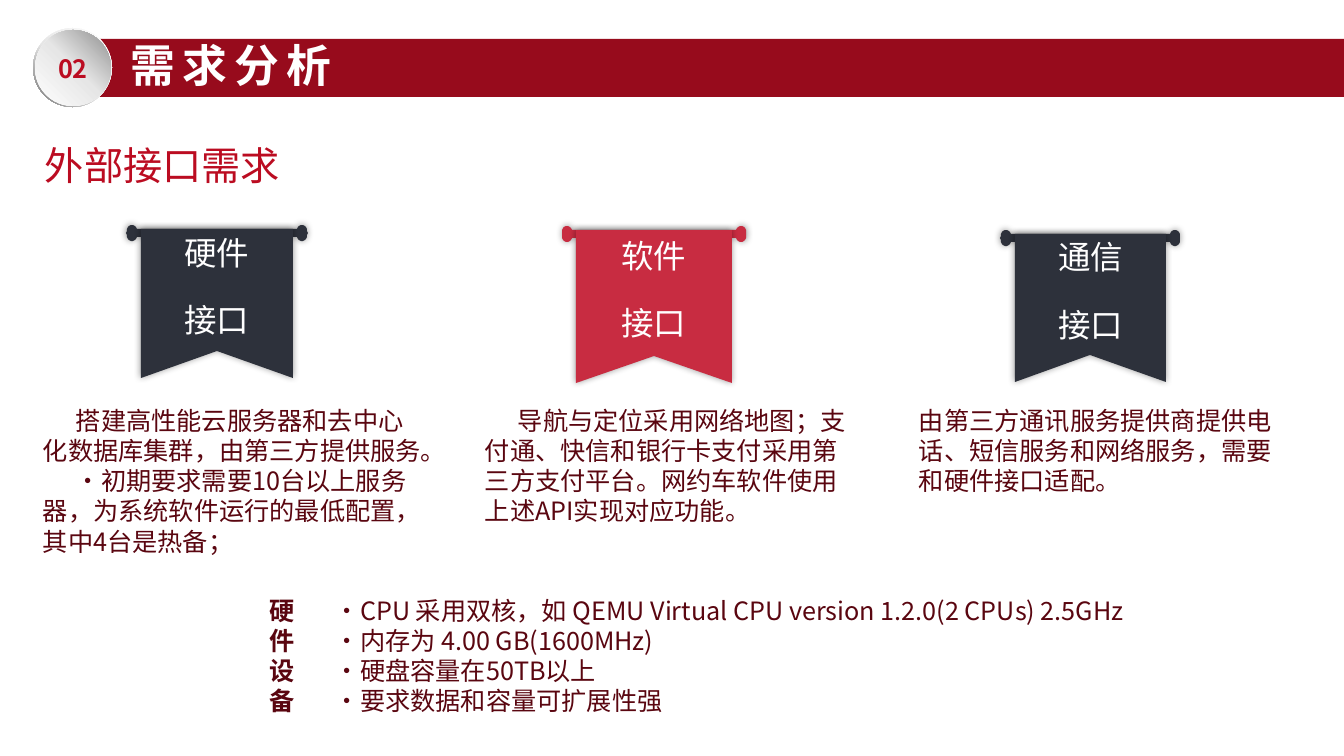
import math
from dataclasses import dataclass

import lxml.etree
import pptx
import pptx.dml.color
import pptx.enum.shapes
import pptx.enum.text
import pptx.oxml
import pptx.oxml.ns
import pptx.util

EMU_PER_PX = 914400 / 100.8
SHAPES = pptx.enum.shapes.MSO_SHAPE
ALIGN = pptx.enum.text.PP_ALIGN
ANCHOR = pptx.enum.text.MSO_ANCHOR


@dataclass(frozen=True)
class Theme:
    font: str = "Noto Sans CJK SC"
    white: str = "FFFFFF"
    banner: str = "970B1C"
    accent: str = "BB0C21"
    body: str = "5A0610"
    navy: str = "2D313B"
    red: str = "C82C41"
    title_size: int = 32
    subtitle_size: int = 28
    flag_size: int = 40
    body_size: int = 18
    line_ratio: float = 1.2


THEME = Theme()


def px(length):
    return pptx.util.Emu(round(length * EMU_PER_PX))


def rgb(value):
    return pptx.dml.color.RGBColor.from_string(value)


def fill_plain(shape, color):
    shape.shadow.inherit = False
    shape.fill.solid()
    shape.fill.fore_color.rgb = rgb(color)
    shape.line.fill.background()


def fill_gradient(shape, stops, angle):
    shape.shadow.inherit = False
    shape.line.fill.background()
    shape.fill.gradient()
    gradient = shape._element.spPr.find(pptx.oxml.ns.qn("a:gradFill"))
    stop_xml = "".join(
        f'<a:gs pos="{position * 1000}"><a:srgbClr val="{color}"/></a:gs>'
        for position, color in stops
    )
    replacement = pptx.oxml.parse_xml(
        f'<a:gradFill {pptx.oxml.ns.nsdecls("a")} rotWithShape="1">'
        f'<a:gsLst>{stop_xml}</a:gsLst><a:lin ang="{angle * 60000}" scaled="0"/></a:gradFill>'
    )
    gradient.getparent().replace(gradient, replacement)


def add_glow(shape):
    effects = shape._element.spPr.find(pptx.oxml.ns.qn("a:effectLst"))
    shadow = lxml.etree.SubElement(
        effects, pptx.oxml.ns.qn("a:outerShdw"),
        blurRad=str(pptx.util.Pt(5)), dist="0", dir="0", algn="ctr", rotWithShape="0",
    )
    color = lxml.etree.SubElement(shadow, pptx.oxml.ns.qn("a:srgbClr"), val="000000")
    lxml.etree.SubElement(color, pptx.oxml.ns.qn("a:alpha"), val="40000")


def write_text(shape, lines, size, color, bold=False, align=ALIGN.LEFT,
               indent=0, spacing=0, baseline=0):
    frame = shape.text_frame
    frame.word_wrap = True
    for index, line in enumerate(lines):
        paragraph = frame.paragraphs[0] if index == 0 else frame.add_paragraph()
        paragraph.alignment = align
        paragraph.line_spacing = pptx.util.Pt(size * THEME.line_ratio)
        if indent:
            properties = paragraph._p.get_or_add_pPr()
            properties.set("marL", "0")
            properties.set("indent", str(px(indent)))
        run = paragraph.add_run()
        run.text = line
        run.font.size = pptx.util.Pt(size)
        run.font.bold = bold
        run.font.name = THEME.font
        run.font.color.rgb = rgb(color)
        properties = run._r.get_or_add_rPr()
        lxml.etree.SubElement(properties, pptx.oxml.ns.qn("a:ea"), typeface=THEME.font)
        if spacing:
            properties.set("spc", str(spacing * 100))
        if baseline:
            properties.set("baseline", str(baseline * 1000))


def add_text(slide, left, top, width, height, lines, size, color, **options):
    box = slide.shapes.add_textbox(px(left), px(top), px(width), px(height))
    write_text(box, lines, size, color, **options)


def add_body(slide, left, top, width, height, lines, **options):
    add_text(slide, left, top, width, height, lines, THEME.body_size, THEME.body, **options)


def add_shape(slide, kind, left, top, width, height):
    return slide.shapes.add_shape(kind, px(left), px(top), px(width), px(height))


def add_outline(slide, points, color):
    builder = slide.shapes.build_freeform(*points[0], scale=EMU_PER_PX)
    builder.add_line_segments(points[1:], close=True)
    shape = builder.convert_to_shape()
    fill_plain(shape, color)
    add_glow(shape)
    return shape


def knob_points(center_x, center_y, start_degrees):
    return [
        (center_x + 5.5 * math.cos(math.radians(angle)),
         center_y + 8 * math.sin(math.radians(angle)))
        for angle in range(start_degrees, start_degrees + 301, 15)
    ]


def add_flag(slide, left, top, width, height, color, lines):
    right, bottom = left + width, top + height
    pole_y = top + 4
    pole = knob_points(left - 9, pole_y, 30) + knob_points(right + 9, pole_y, 210)
    add_outline(slide, pole, color)
    cloth = [(left + width / 2, bottom - 27), (right, bottom), (right, top),
             (left, top), (left, bottom)]
    flag = add_outline(slide, cloth, color)
    frame = flag.text_frame
    frame.vertical_anchor = ANCHOR.MIDDLE
    frame.margin_top = 0
    frame.margin_bottom = px(20)
    write_text(flag, lines, THEME.flag_size, THEME.white, align=ALIGN.CENTER, baseline=30)


def add_header(slide):
    banner = add_shape(slide, SHAPES.RECTANGLE, 80, 39, 1264, 58)
    fill_plain(banner, THEME.banner)
    add_text(slide, 121, 33, 455, 65, ["需求分析"], THEME.title_size, THEME.white,
             bold=True, spacing=5)
    ring = add_shape(slide, SHAPES.DONUT, 33, 28, 79, 79)
    ring.adjustments[0] = 0.05
    fill_gradient(ring, [(0, "FFFFFF"), (55, "E6E6E6"), (100, "6C6C6C")], 135)
    badge = add_shape(slide, SHAPES.OVAL, 35, 30, 76, 76)
    fill_gradient(badge, [(0, "FFFFFF"), (51, "E6E6E6"), (100, "8F8F8F")], 315)
    badge.text_frame.vertical_anchor = ANCHOR.MIDDLE
    write_text(badge, ["02"], THEME.body_size, THEME.accent, bold=True, align=ALIGN.CENTER)


def main():
    presentation = pptx.Presentation()
    presentation.slide_width = px(1344)
    presentation.slide_height = px(756)
    slide = presentation.slides.add_slide(presentation.slide_layouts[6])

    add_header(slide)
    add_flag(slide, 141, 229, 152, 149, THEME.navy, ["硬件", "接口"])
    add_flag(slide, 576, 230, 156, 153, THEME.red, ["软件", "接口"])
    add_flag(slide, 1015, 234, 151, 148, THEME.navy, ["通信", "接口"])
    add_text(slide, 35, 136, 448, 88, ["外部接口需求"], THEME.subtitle_size, THEME.accent)

    add_body(slide, 33, 400, 401, 176, [
        "搭建高性能云服务器和去中心化数据库集群，由第三方提供服务。",
        "·初期要求需要10台以上服务器，为系统软件运行的最低配置，其中4台是热备；",
    ], indent=33)
    add_body(slide, 475, 400, 395, 132, [
        "导航与定位采用网络地图；支付通、快信和银行卡支付采用第三方支付平台。"
        "网约车软件使用上述API实现对应功能。",
    ], indent=33)
    add_body(slide, 909, 400, 396, 102, [
        "由第三方通讯服务提供商提供电话、短信服务和网络服务，需要和硬件接口适配。",
    ])
    add_body(slide, 292, 590, 861, 132, [
        "·CPU 采用双核，如 QEMU Virtual CPU version 1.2.0(2 CPUs) 2.5GHz",
        "·内存为 4.00 GB(1600MHz)",
        "·硬盘容量在50TB以上",
        "·要求数据和容量可扩展性强",
    ], indent=33)
    add_body(slide, 260, 590, 46, 132, list("硬件设备"), bold=True)

    presentation.save("out.pptx")


if __name__ == "__main__":
    main()
